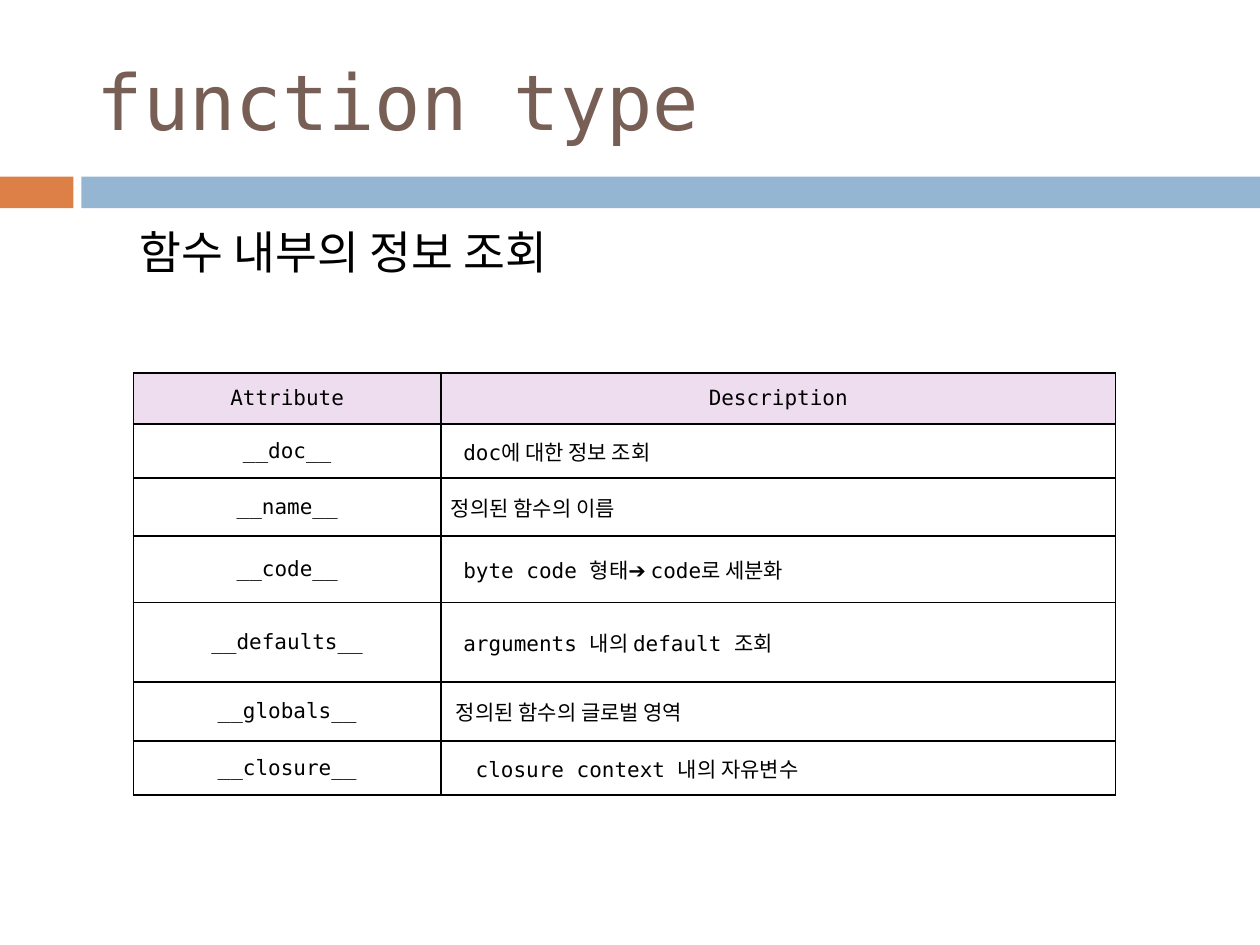
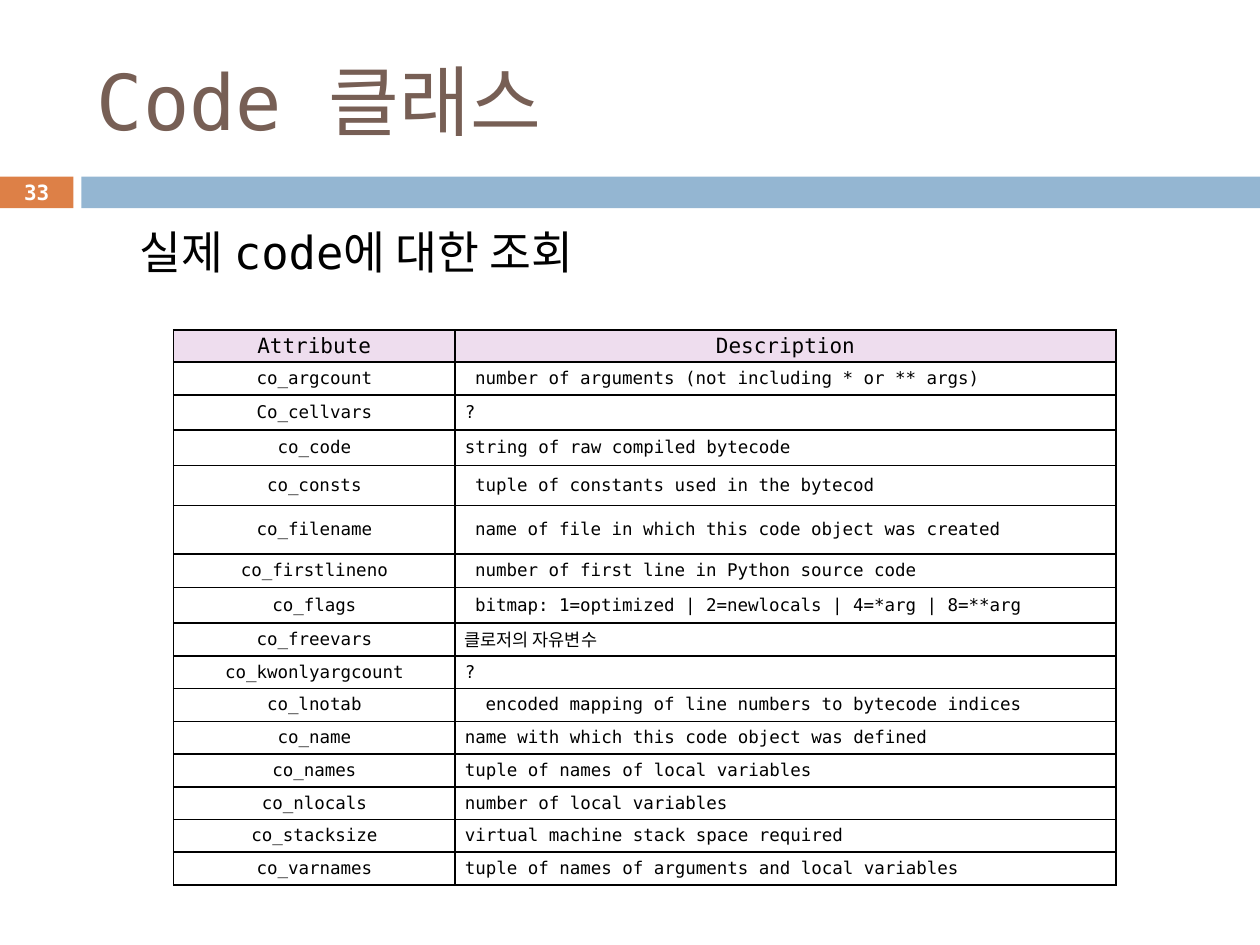
from lxml import etree
from pptx import Presentation
from pptx.dml.color import RGBColor
from pptx.enum import shapes, text
from pptx.oxml import ns
from pptx.util import Cm, Pt

# Content: (attribute, description, row height in cm, description indent in cm)
HEADINGS = ("Attribute", "Description")
SLIDES = [
    dict(
        title="function type", topic="함수 내부의 정보 조회", number=None,
        left=2.69, top=7.52, widths=(6.2, 13.6), heading_height=1.03, size=12,
        rows=[
            ("__doc__", "doc에 대한 정보 조회", 1.09, 0.25),
            ("__name__", "정의된 함수의 이름", 1.17, 0),
            ("__code__", "byte code 형태➔ code로 세분화", 1.34, 0.25),
            ("__defaults__", "arguments 내의 default 조회", 1.6, 0.25),
            ("__globals__", "정의된 함수의 글로벌 영역", 1.19, 0.1),
            ("__closure__", "closure context 내의 자유변수", 1.09, 0.5),
        ],
    ),
    dict(
        title="Code 클래스", topic="실제 code에 대한 조회", number="33",
        left=3.5, top=6.65, widths=(5.67, 13.33), heading_height=0.65, size=10,
        rows=[
            ("co_argcount", "number of arguments (not including * or ** args)", 0.66, 0.21),
            ("Co_cellvars", "?", 0.71, 0),
            ("co_code", "string of raw compiled bytecode", 0.71, 0),
            ("co_consts", "tuple of constants used in the bytecod", 0.81, 0.21),
            ("co_filename", "name of file in which this code object was created", 0.98, 0.21),
            ("co_firstlineno", "number of first line in Python source code", 0.67, 0.21),
            ("co_flags", "bitmap: 1=optimized | 2=newlocals | 4=*arg | 8=**arg", 0.72, 0.21),
            ("co_freevars", "클로저의 자유변수", 0.66, 0),
            ("co_kwonlyargcount", "?", 0.66, 0),
            ("co_lnotab", "encoded mapping of line numbers to bytecode indices", 0.66, 0.42),
            ("co_name", "name with which this code object was defined", 0.66, 0),
            ("co_names", "tuple of names of local variables", 0.66, 0),
            ("co_nlocals", "number of local variables", 0.66, 0),
            ("co_stacksize", "virtual machine stack space required", 0.66, 0),
            ("co_varnames", "tuple of names of arguments and local variables", 0.66, 0),
        ],
    ),
]

# Shared look
FONT = "DejaVu Sans Mono"
ORANGE = RGBColor(0xDD, 0x80, 0x47)
BLUE = RGBColor(0x94, 0xB6, 0xD2)
BROWN = RGBColor(0x77, 0x5F, 0x55)
PINK = RGBColor(0xEE, 0xDD, 0xEE)
BLACK = RGBColor(0, 0, 0)
WHITE = RGBColor(0xFF, 0xFF, 0xFF)
SLIDE_WIDTH, SLIDE_HEIGHT = 25.4, 19.05
BAND_TOP, BAND_HEIGHT = 3.56, 0.64
MARKER_WIDTH, BAND_LEFT = 1.48, 1.64
CENTER, LEFT = text.PP_ALIGN.CENTER, text.PP_ALIGN.LEFT
MIDDLE, TOP = text.MSO_ANCHOR.MIDDLE, text.MSO_ANCHOR.TOP

TITLE = dict(box=(1.7, 0.64, 22.66, 2.74), anchor=MIDDLE, align=LEFT,
             font=dict(size=Pt(44), color=BROWN))
TOPIC = dict(box=(2.57, 4.39, 21.59, 3.15), anchor=TOP, align=LEFT,
             font=dict(size=Pt(26), color=BLACK))
NUMBER = dict(box=(0, BAND_TOP, MARKER_WIDTH, BAND_HEIGHT), anchor=MIDDLE, align=CENTER,
              font=dict(size=Pt(12), color=WHITE, bold=True))


def write(paragraph, words, align, color, **font_values):
    paragraph.text = words
    paragraph.alignment = align
    paragraph.font.color.rgb = color
    for name, value in dict(name=FONT, **font_values).items():
        setattr(paragraph.font, name, value)


def add_text(slide, words, style):
    frame = slide.shapes.add_textbox(*map(Cm, style["box"])).text_frame
    frame.word_wrap = True
    frame.vertical_anchor = style["anchor"]
    write(frame.paragraphs[0], words, style["align"], **style["font"])


def add_bar(slide, left, width, color):
    bar = slide.shapes.add_shape(shapes.MSO_SHAPE.RECTANGLE,
                                 *map(Cm, (left, BAND_TOP, width, BAND_HEIGHT)))
    bar.shadow.inherit = False
    bar.fill.solid()
    bar.fill.fore_color.rgb = color
    bar.line.fill.background()


def add_borders(cell):
    properties = cell._tc.get_or_add_tcPr()
    for position, side in enumerate(("lnL", "lnR", "lnT", "lnB")):
        line = etree.Element(ns.qn(f"a:{side}"), w=str(Pt(1)))
        fill = etree.SubElement(line, ns.qn("a:solidFill"))
        etree.SubElement(fill, ns.qn("a:srgbClr"), val=str(BLACK))
        properties.insert(position, line)


def fill_cell(cell, words, align, size, fill=None, left=0.03):
    margins = dict(margin_left=left, margin_right=0.03, margin_top=0.03, margin_bottom=0.03)
    for name, value in margins.items():
        setattr(cell, name, Cm(value))
    cell.vertical_anchor = MIDDLE
    if fill is None:
        cell.fill.background()
    else:
        cell.fill.solid()
        cell.fill.fore_color.rgb = fill
    write(cell.text_frame.paragraphs[0], words, align, BLACK, size=Pt(size))
    add_borders(cell)


def add_attributes(slide, page):
    heights = [page["heading_height"]] + [row[2] for row in page["rows"]]
    table = slide.shapes.add_table(
        len(heights), len(HEADINGS), Cm(page["left"]), Cm(page["top"]),
        Cm(sum(page["widths"])), Cm(sum(heights))).table
    for column, width in zip(table.columns, page["widths"]):
        column.width = Cm(width)
    for row, height in zip(table.rows, heights):
        row.height = Cm(height)
    for column, heading in enumerate(HEADINGS):
        fill_cell(table.cell(0, column), heading, CENTER, 12, PINK)
    for row, (attribute, description, _, indent) in enumerate(page["rows"], 1):
        fill_cell(table.cell(row, 0), attribute, CENTER, page["size"])
        fill_cell(table.cell(row, 1), description, LEFT, page["size"], left=0.2 + indent)


def main():
    deck = Presentation()
    deck.slide_width, deck.slide_height = Cm(SLIDE_WIDTH), Cm(SLIDE_HEIGHT)
    for page in SLIDES:
        slide = deck.slides.add_slide(deck.slide_layouts[6])
        # Band under the title
        add_bar(slide, 0, MARKER_WIDTH, ORANGE)
        add_bar(slide, BAND_LEFT, SLIDE_WIDTH - BAND_LEFT, BLUE)
        # Texts and table
        add_text(slide, page["title"], TITLE)
        add_text(slide, page["topic"], TOPIC)
        add_attributes(slide, page)
        if page["number"]:
            add_text(slide, page["number"], NUMBER)
    deck.save("out.pptx")


if __name__ == "__main__":
    main()
